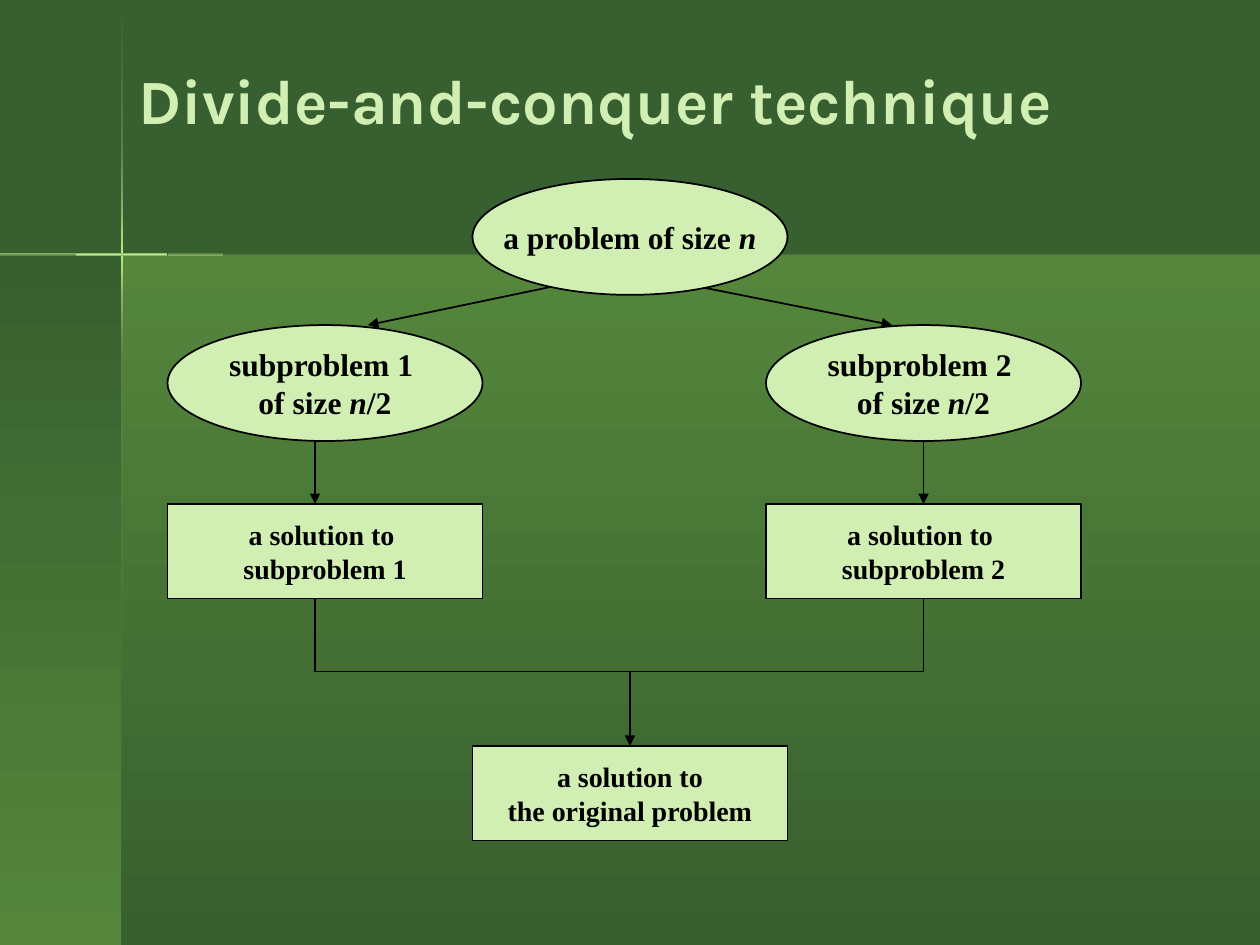
from copy import deepcopy

from lxml import etree
from pptx import Presentation
from pptx.dml.color import RGBColor
from pptx.enum.shapes import MSO_CONNECTOR, MSO_SHAPE
from pptx.enum.text import MSO_ANCHOR, PP_ALIGN
from pptx.oxml.ns import qn
from pptx.util import Inches, Pt

RECT, OVAL = MSO_SHAPE.RECTANGLE, MSO_SHAPE.OVAL
STRAIGHT = MSO_CONNECTOR.STRAIGHT
MIDDLE, CENTER = MSO_ANCHOR.MIDDLE, PP_ALIGN.CENTER
DARK, MID, SOFT, GLOW = "375F2F", "55863C", "8EAC66", "B4EF7F"
PALE, BLACK = "D1EFB3", "000000"


def color(value):
    return RGBColor.from_string(value)


def add_line(x1, y1, x2, y2, arrow=False):
    line = page.shapes.add_connector(
        STRAIGHT, Inches(x1), Inches(y1), Inches(x2), Inches(y2))
    line.line.color.rgb = color(BLACK)
    line.line.width = Pt(1)
    if arrow:
        etree.SubElement(line.line._get_or_add_ln(), qn("a:tailEnd"), type="triangle")
    etree.SubElement(line._element.spPr, qn("a:effectLst"))
    return line


deck = Presentation()
deck.slide_width, deck.slide_height = Inches(10), Inches(7.5)
page = deck.slides.add_slide(deck.slide_layouts[6])
page.background.fill.solid()
page.background.fill.fore_color.rgb = color(DARK)

# Background panels and the glowing cross: left, top, width, height, colours, vertical
bands = [
    (0.97, 2.02, 9.03, 5.48, [DARK, MID], False),
    (0, 2.02, 0.97, 5.48, [DARK, MID], True),
]
for start, end, colors in [
    (0.01, 1.21, [DARK, MID]),
    (2.82, 7.5, [MID, DARK]),
    (2.38, 2.82, [SOFT, MID]),
    (1.21, 1.65, [MID, SOFT]),
    (1.65, 2.38, [SOFT, GLOW, SOFT]),
]:
    bands.append((0.96, start, 0.02, end - start, colors, True))
for start, end, colors in [
    (1.77, 10, [MID, DARK]),
    (0, 0.61, [MID, SOFT]),
    (1.33, 1.77, [SOFT, MID]),
    (0.6, 1.33, [SOFT, GLOW, SOFT]),
]:
    bands.append((start, 2.01, end - start, 0.02, colors, False))

for left, top, width, height, colors, vertical in bands:
    band = page.shapes.add_shape(
        RECT, Inches(left), Inches(top), Inches(width), Inches(height))
    band.shadow.inherit = False
    band.line.fill.background()
    band.fill.gradient()
    if vertical:
        band.fill.gradient_angle = 270
    if len(colors) == 3:
        stop_list = band._element.spPr.find(qn("a:gradFill")).find(qn("a:gsLst"))
        stop_list.append(deepcopy(stop_list[-1]))
    for index, (stop, value) in enumerate(zip(band.fill.gradient_stops, colors)):
        stop.color.rgb = color(value)
        stop.position = index / (len(colors) - 1)

# Title
title = page.shapes.add_textbox(Inches(1), Inches(0.33), Inches(8.67), Inches(0.92))
title.text_frame.word_wrap = True
title.text_frame.vertical_anchor = MIDDLE
para = title.text_frame.paragraphs[0]
para.text = "Divide-and-conquer technique"
para.font.name, para.font.size, para.font.bold = "Karla", Pt(36), True
para.font.color.rgb = color(PALE)

# Arrows from the problem to its subproblems
add_line(4.5, 2.25, 2.92, 2.58, arrow=True)
add_line(5.42, 2.25, 7.08, 2.58, arrow=True)

# Problems (ovals) and solutions (boxes); each line is a list of runs, "n" is italic
nodes = {}
for name, kind, left, top, lines in [
    ("subproblem 2", OVAL, 6.08, 2.58, [["subproblem 2 "], ["of size ", "n", "/2"]]),
    ("subproblem 1", OVAL, 1.33, 2.58, [["subproblem 1 "], ["of size ", "n", "/2"]]),
    ("solution 1", RECT, 1.33, 4, [["a solution to "], ["subproblem 1"]]),
    ("solution", RECT, 3.75, 5.92, [["a solution to"], ["the original problem"]]),
    ("solution 2", RECT, 6.08, 4, [["a solution to "], ["subproblem 2"]]),
    ("problem", OVAL, 3.75, 1.42, [["a problem of size ", "n"]]),
]:
    height, size = (0.92, 18) if kind == OVAL else (0.75, 16)
    box = page.shapes.add_shape(
        kind, Inches(left), Inches(top), Inches(2.5), Inches(height))
    box.shadow.inherit = False
    box.fill.solid()
    box.fill.fore_color.rgb = color(PALE)
    box.line.color.rgb = color(BLACK)
    box.line.width = Pt(1)
    frame = box.text_frame
    frame.word_wrap = False
    frame.vertical_anchor = MIDDLE
    for index, runs in enumerate(lines):
        para = frame.add_paragraph() if index else frame.paragraphs[0]
        para.alignment = CENTER
        para.font.name, para.font.size, para.font.bold = "Times New Roman", Pt(size), True
        para.font.color.rgb = color(BLACK)
        for text in runs:
            span = para.add_run()
            span.text = text
            if text == "n":
                span.font.italic = True
    nodes[name] = box

# Subproblems lead to solutions, which merge into the final one
add_line(2.5, 3.5, 2.5, 4, arrow=True)
add_line(7.33, 3.5, 7.33, 4, arrow=True).end_connect(nodes["solution 2"], 0)
add_line(2.5, 4.75, 2.5, 5.33)
add_line(7.33, 4.75, 7.33, 5.33).begin_connect(nodes["solution 2"], 2)
add_line(2.5, 5.33, 7.33, 5.33)
add_line(5, 5.33, 5, 5.92, arrow=True).end_connect(nodes["solution"], 0)

deck.save("out.pptx")
